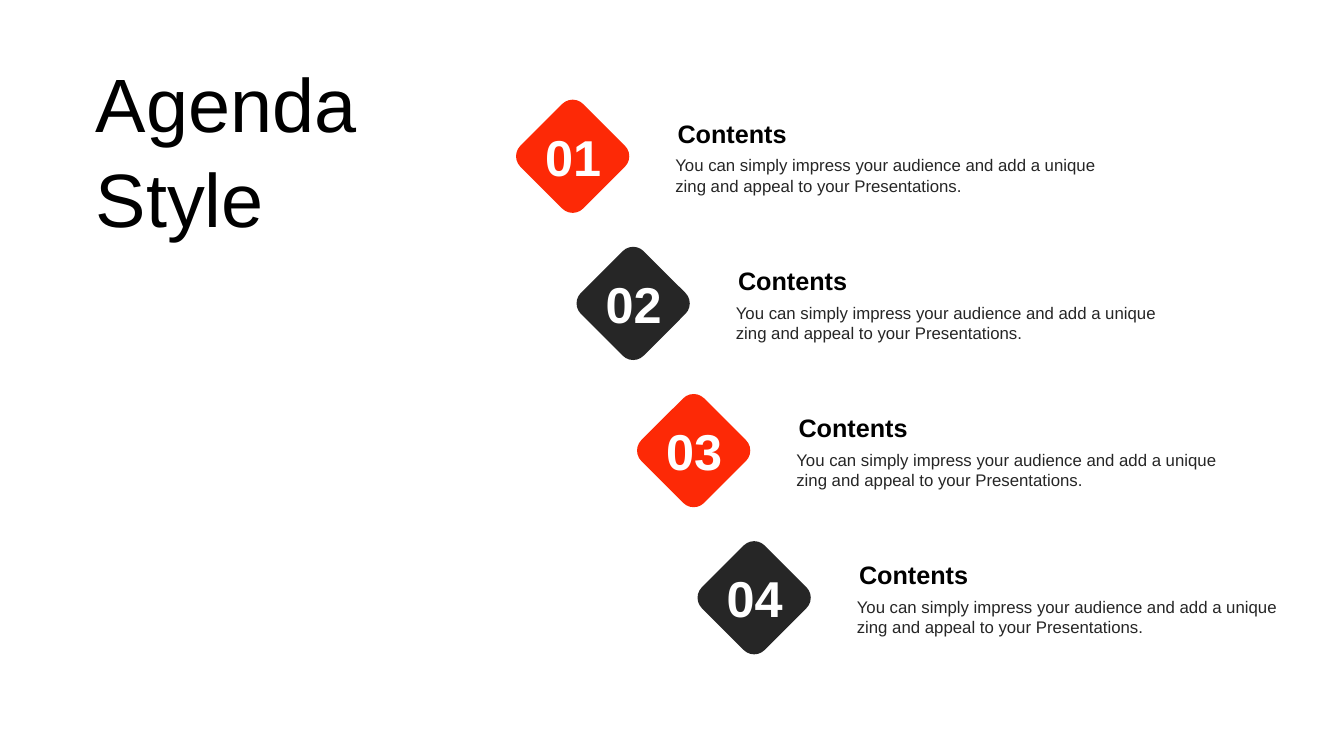
"""Build an agenda slide with four numbered diamonds descending to the right."""
import dataclasses

import pptx
import pptx.dml.color
import pptx.enum.shapes
import pptx.enum.text
import pptx.util

TITLE = "Agenda Style"
BODY = ("You can simply impress your audience and add a unique "
        "zing and appeal to your Presentations.")
ITEMS = [
    ("01", "Contents", BODY),
    ("02", "Contents", BODY),
    ("03", "Contents", BODY),
    ("04", "Contents", BODY),
]


@dataclasses.dataclass(frozen=True)
class Theme:
    font: str = "Arial"
    black: str = "000000"
    dark: str = "262626"
    red: str = "FD2906"
    white: str = "FFFFFF"
    title: int = 54
    number: int = 36
    head: int = 18
    body: int = 12


THEME = Theme()
ALIGN = pptx.enum.text.PP_ALIGN
SCALE = 9144
LEFT, TOP = 524, 111
STEP_X, STEP_Y = 60, 146
SIDE = 88


def px(*sizes):
    return [pptx.util.Emu(size * SCALE) for size in sizes]


def color(value):
    return pptx.dml.color.RGBColor.from_string(value)


def write(shape, text, size, tint, bold=False, align=ALIGN.LEFT, inset=10):
    frame = shape.text_frame
    frame.text = text
    frame.word_wrap = True
    frame.auto_size = pptx.enum.text.MSO_AUTO_SIZE.NONE
    frame.margin_left, frame.margin_right = px(inset, inset)
    frame.margin_top, frame.margin_bottom = px(5, 5)
    line = frame.paragraphs[0]
    line.alignment = align
    font = line.runs[0].font
    font.name, font.size, font.bold = THEME.font, pptx.util.Pt(size), bold
    font.color.rgb = color(tint)
    return line


def add_item(slide, index, number, head, body):
    x, y = LEFT + index * STEP_X, TOP + index * STEP_Y
    shapes = slide.shapes.add_group_shape().shapes

    text = shapes.add_textbox(*px(x + 136, y + 38, 443, 50))
    write(text, body, THEME.body, THEME.dark)
    text = shapes.add_textbox(*px(x + 136, y + 1, 443, 40))
    write(text, head, THEME.head, THEME.black, bold=True, inset=12)

    gem = shapes.add_shape(pptx.enum.shapes.MSO_SHAPE.ROUNDED_RECTANGLE,
                           *px(x, y, SIDE, SIDE))
    gem.rotation = 315
    gem.shadow.inherit = False
    gem.fill.solid()
    gem.fill.fore_color.rgb = color((THEME.red, THEME.dark)[index % 2])
    gem.line.fill.background()

    text = shapes.add_textbox(*px(x - 8, y + 9, 105, 71))
    write(text, number, THEME.number, THEME.white, bold=True,
          align=ALIGN.CENTER, inset=12)


def main():
    deck = pptx.Presentation()
    deck.slide_width, deck.slide_height = px(1333, 750)
    slide = deck.slides.add_slide(deck.slide_layouts[5])

    title = slide.shapes.title
    title.left, title.top, title.width, title.height = px(85, 50, 297, 192)
    line = write(title, TITLE, THEME.title, THEME.black)
    line.line_spacing = 1.05
    title.text_frame.vertical_anchor = pptx.enum.text.MSO_ANCHOR.MIDDLE

    for index, item in enumerate(ITEMS):
        add_item(slide, index, *item)
    deck.save("out.pptx")


if __name__ == "__main__":
    main()
